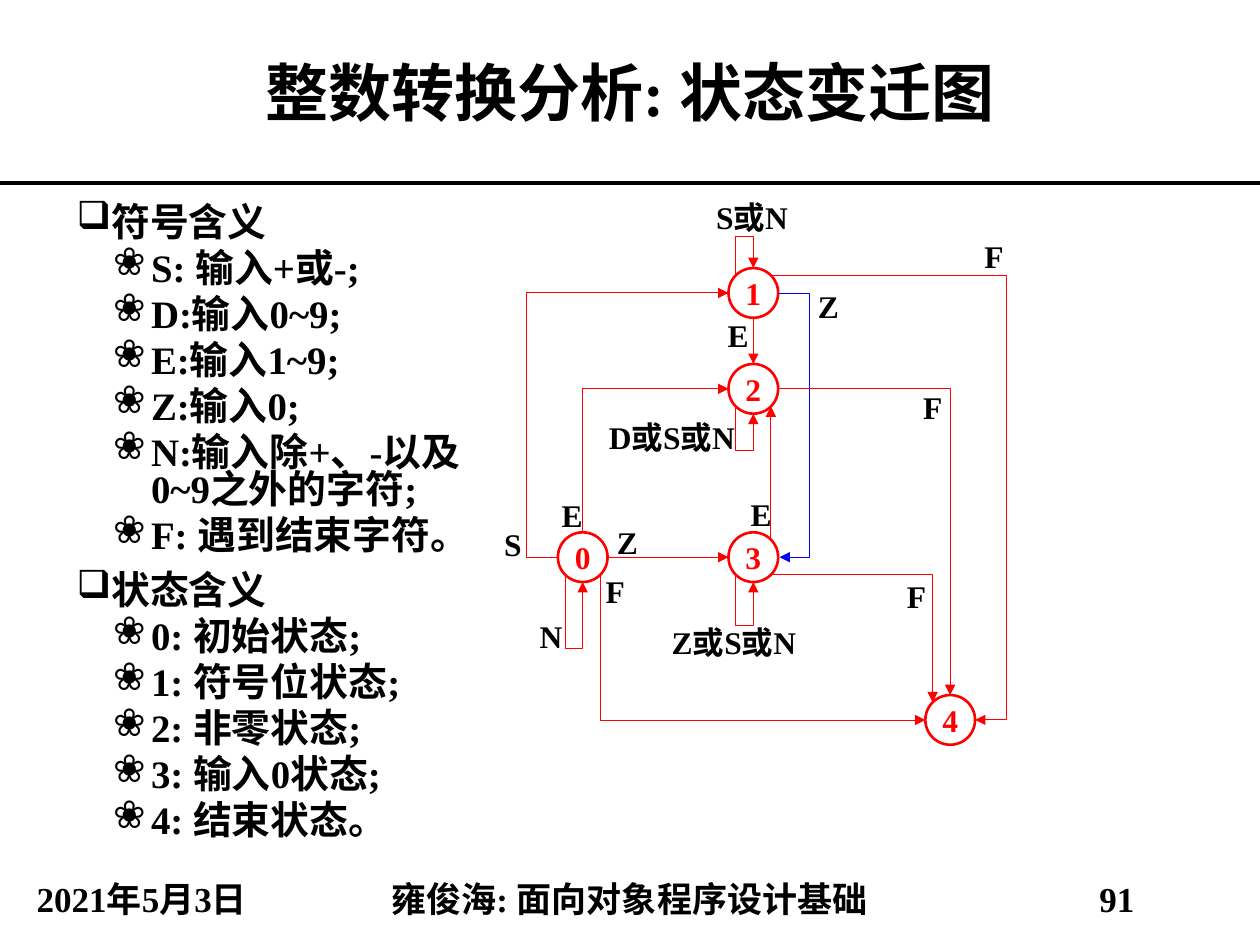
"""Build the slide on integer conversion with its state transition diagram."""
from dataclasses import dataclass
from math import cos, pi, sin

from lxml.etree import SubElement
from pptx import Presentation
from pptx.dml.color import RGBColor
from pptx.enum.shapes import MSO_CONNECTOR, MSO_SHAPE
from pptx.enum.text import MSO_ANCHOR, MSO_AUTO_SIZE, PP_ALIGN
from pptx.oxml.ns import qn
from pptx.util import Pt


@dataclass(frozen=True)
class Theme:
    font: str = "Times New Roman"
    ink: RGBColor = RGBColor(0, 0, 0)
    red: RGBColor = RGBColor(255, 0, 0)
    blue: RGBColor = RGBColor(0, 0, 255)
    title: float = 36
    body: float = 22.2
    footer: float = 20
    label: float = 18


THEME = Theme()
WIDTH, HEIGHT = 720, 540
RULE_Y = 104.4
DIAMETER = 28.4

TITLE = "整数转换分析: 状态变迁图"
SECTIONS = [
    ("符号含义", ["S: 输入+或-;", "D:输入0~9;", "E:输入1~9;", "Z:输入0;",
              "N:输入除+、-以及0~9之外的字符;", "F: 遇到结束字符。"]),
    ("状态含义", ["0: 初始状态;", "1: 符号位状态;", "2: 非零状态;",
              "3: 输入0状态;", "4: 结束状态。"]),
]
FOOTERS = [("2021年5月3日", 0, 162), ("雍俊海: 面向对象程序设计基础", 162, 395.3),
           ("91", 557.3, 162)]

STATES = {"0": (333, 318.4), "1": (430.5, 167.4), "2": (430.5, 222.2),
          "3": (430.5, 318.4), "4": (543, 411.4)}
SITES = ["top", "top left", "left", "bottom left",
         "bottom", "bottom right", "right", "top right"]

STRAIGHT_FLOWS = [("0", "right", "3", "left"), ("1", "bottom", "2", "top"),
                  ("3", "top right", "2", "bottom right")]
BENT_FLOWS = [
    ("0", "left", "1", "left", "across", [301], THEME.red),
    ("0", "top", "2", "left", "down", [], THEME.red),
    ("0", "bottom left", "0", "bottom", "down", [370.4], THEME.red),
    ("0", "bottom right", "4", "left", "down", [], THEME.red),
    ("1", "right", "3", "right", "across", [462.7], THEME.blue),
    ("1", "top left", "1", "top", "down", [135.2], THEME.red),
    ("1", "top right", "4", "right", "down", [157.6, 575.2], THEME.red),
    ("2", "bottom left", "2", "bottom", "down", [257.6], THEME.red),
    ("2", "right", "4", "top", "across", [], THEME.red),
    ("3", "bottom left", "3", "bottom", "down", [357.6], THEME.red),
    ("3", "bottom right", "4", "top left", "down", [328.5], THEME.red),
]
LABEL_HEIGHT = 29
LABELS = [
    ("S", 278.6, 296.6, 29), ("E", 312.5, 280, 29), ("Z", 344, 295.4, 29),
    ("N", 300.4, 349, 29), ("Z", 458.8, 160.7, 29), ("E", 407.3, 177.2, 29),
    ("S或N", 400.9, 109.5, 57.6), ("F", 337, 323.3, 29), ("F", 553.5, 132, 29),
    ("D或S或N", 336.8, 235.5, 94.3), ("F", 518.5, 218.2, 29), ("E", 420.4, 279.3, 29),
    ("Z或S或N", 372.2, 352.2, 94.3), ("F", 509.2, 326.2, 29),
]


def add_span(para, text, size, color=THEME.ink):
    span = para.add_run()
    span.text = text
    span.font.name = THEME.font
    span.font.size = Pt(size)
    span.font.bold = True
    span.font.color.rgb = color


def add_box(page, left, top, width, height):
    box = page.shapes.add_textbox(Pt(left), Pt(top), Pt(width), Pt(height))
    box.text_frame.word_wrap = True
    return box.text_frame


def add_centred(frame, text, size, color=THEME.ink):
    para = frame.paragraphs[0]
    para.alignment = PP_ALIGN.CENTER
    add_span(para, text, size, color)
    return para


def add_outline(page):
    frame = add_box(page, 36.7, 114.5, 250.6, 386)
    items = [item for heading, entries in SECTIONS
             for item in [(heading, 0)] + [(entry, 1) for entry in entries]]
    for index, (text, level) in enumerate(items):
        para = frame.add_paragraph() if index else frame.paragraphs[0]
        symbol, margin, hang, gap = [("❑", 18, 18, 10), ("❀", 42.5, 21.6, 5)][level]
        para.level = level
        para.line_spacing = 0.8
        para.space_before = Pt(gap if index else 0)
        properties = para._p.get_or_add_pPr()
        properties.set("marL", str(int(Pt(margin))))
        properties.set("indent", str(-int(Pt(hang))))
        SubElement(properties, qn("a:buChar")).set("char", symbol)
        add_span(para, text, THEME.body)


def add_state(page, name, center):
    left, top = (value - DIAMETER / 2 for value in center)
    state = page.shapes.add_shape(MSO_SHAPE.OVAL, Pt(left), Pt(top), Pt(DIAMETER), Pt(DIAMETER))
    state.shadow.inherit = False
    state.fill.background()
    state.line.color.rgb = THEME.red
    state.line.width = Pt(1.5)
    frame = state.text_frame
    frame.margin_left = frame.margin_right = frame.margin_top = frame.margin_bottom = 0
    frame.vertical_anchor = MSO_ANCHOR.MIDDLE
    add_centred(frame, name, THEME.label, THEME.red)
    return state


def site_point(name, site):
    angle = pi / 2 + SITES.index(site) * pi / 4
    x, y = STATES[name]
    return x + DIAMETER / 2 * cos(angle), y - DIAMETER / 2 * sin(angle)


def add_line(page, kind, start, end, color, width):
    line = page.shapes.add_connector(kind, *(Pt(value) for value in (*start, *end)))
    line.line.color.rgb = color
    line.line.width = Pt(width)
    SubElement(line._element.spPr, qn("a:effectLst"))
    return line


def finish_flow(line, ovals, source, source_site, target, target_site):
    SubElement(line.line._get_or_add_ln(), qn("a:tailEnd")).set("type", "triangle")
    joints = line._element.nvCxnSpPr.cNvCxnSpPr
    for tag, name, site in (("a:stCxn", source, source_site), ("a:endCxn", target, target_site)):
        joint = SubElement(joints, qn(tag))
        joint.set("id", str(ovals[name].shape_id))
        joint.set("idx", str(SITES.index(site)))


def add_bent_flow(page, ovals, source, source_site, target, target_site, first, bends, color):
    start, end = site_point(source, source_site), site_point(target, target_site)
    across = first == "across"
    dx, dy = (round(b - a, 2) for a, b in zip(start, end))
    dx = dx or 0.72
    if across:
        turn = 180 if dx > 0 > dy else 0
        flips = (dx < 0) != (turn == 180), (dy < 0) != (turn == 180)
    else:
        turn = 270 if dx > 0 and dy > 0 else 90
        flips = (dy < 0) != (turn == 270), (dx > 0) != (turn == 270)
    length, breadth = (abs(dx), abs(dy)) if across else (abs(dy), abs(dx))
    left = start[0] + dx / 2 - length / 2
    top = start[1] + dy / 2 - breadth / 2
    line = add_line(page, MSO_CONNECTOR.ELBOW, (left, top),
                    (left + length, top + breadth), color, 0.5)
    frame = line._element.spPr.find(qn("a:xfrm"))
    frame.set("rot", str(turn * 60000))
    for name, flipped in zip(("flipH", "flipV"), flips):
        frame.set(name, str(int(flipped)))
    geometry = line._element.spPr.find(qn("a:prstGeom"))
    geometry.set("prst", f"bentConnector{len(bends) + 2}")
    guides = geometry.find(qn("a:avLst"))
    axes = [(start[0], dx), (start[1], dy)]
    for number, (bend, (origin, reach)) in enumerate(zip(bends, axes if across else axes[::-1]), 1):
        guide = SubElement(guides, qn("a:gd"))
        guide.set("name", f"adj{number}")
        guide.set("fmla", f"val {round((bend - origin) / reach * 100000)}")
    finish_flow(line, ovals, source, source_site, target, target_site)


def main():
    deck = Presentation()
    deck.slide_width, deck.slide_height = Pt(WIDTH), Pt(HEIGHT)
    page = deck.slides.add_slide(deck.slide_layouts[5])
    title = page.shapes.title
    title.left, title.top, title.width, title.height = Pt(0), Pt(0), Pt(WIDTH), Pt(RULE_Y)
    title.text_frame.vertical_anchor = MSO_ANCHOR.MIDDLE
    add_centred(title.text_frame, TITLE, THEME.title)
    add_line(page, MSO_CONNECTOR.STRAIGHT, (0, RULE_Y), (WIDTH, RULE_Y), THEME.ink, 2.25)
    for text, left, width in FOOTERS:
        frame = add_box(page, left, 500.4, width, 28.8)
        frame.vertical_anchor = MSO_ANCHOR.MIDDLE
        add_centred(frame, text, THEME.footer).line_spacing = 0.9
    add_outline(page)
    ovals = {name: add_state(page, name, center) for name, center in STATES.items()}
    for flow in STRAIGHT_FLOWS:
        line = add_line(page, MSO_CONNECTOR.STRAIGHT, site_point(*flow[:2]),
                        site_point(*flow[2:]), THEME.red, 0.5)
        finish_flow(line, ovals, *flow)
    for flow in BENT_FLOWS:
        add_bent_flow(page, ovals, *flow)
    for text, left, top, width in LABELS:
        frame = add_box(page, left, top, width, LABEL_HEIGHT)
        frame.auto_size = MSO_AUTO_SIZE.SHAPE_TO_FIT_TEXT
        add_centred(frame, text, THEME.label)
    deck.save("out.pptx")


if __name__ == "__main__":
    main()
